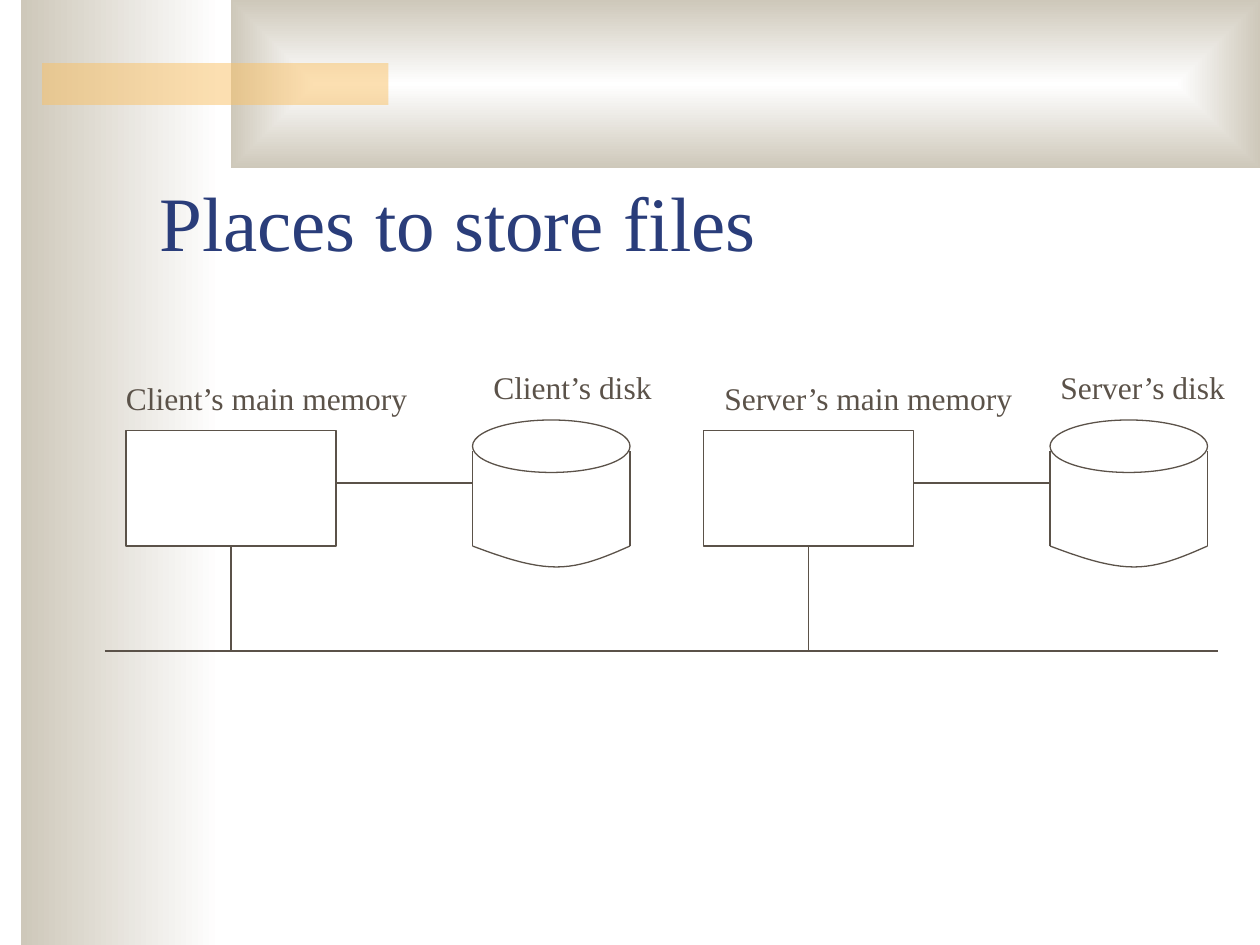
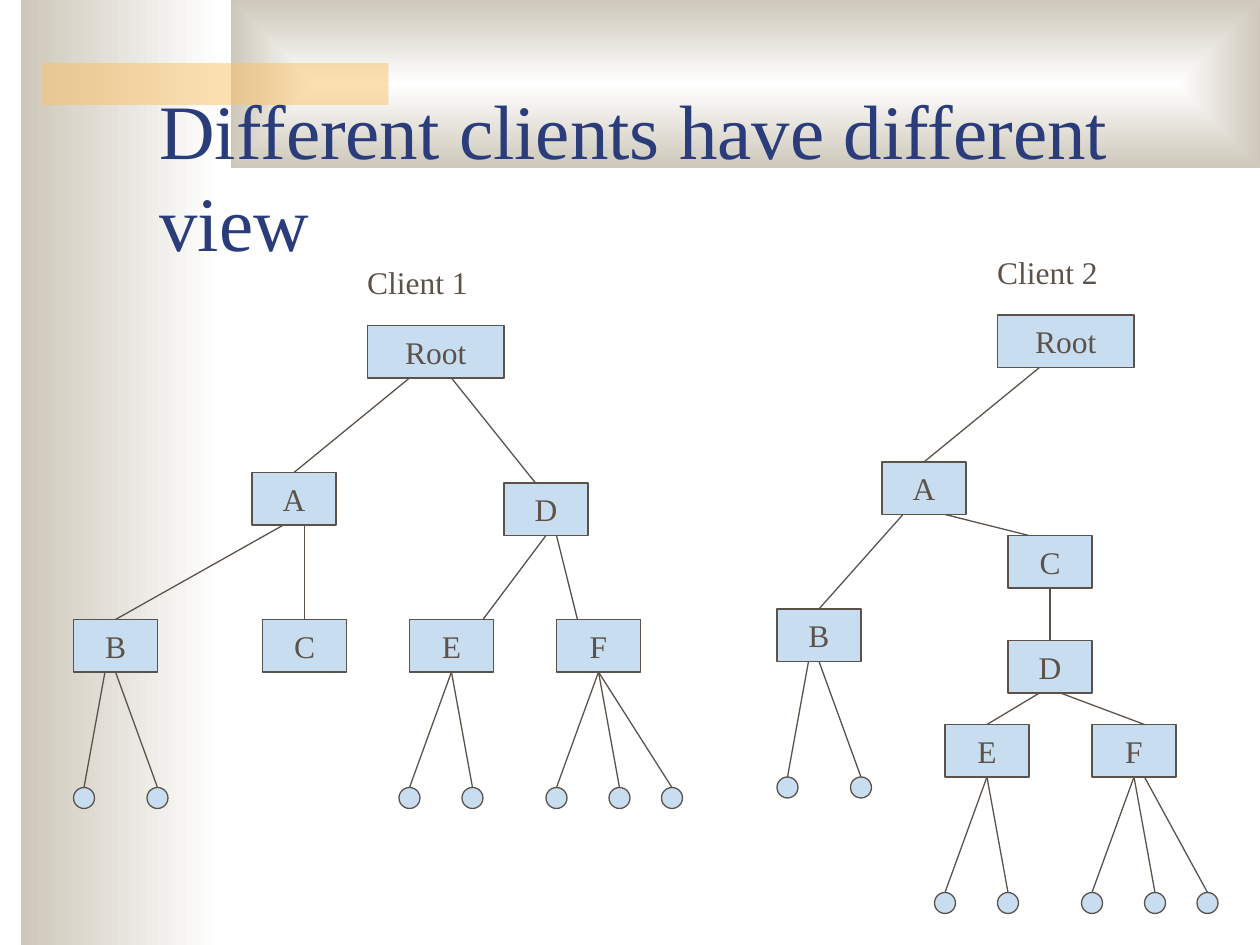
from lxml.etree import SubElement
from pptx import Presentation
from pptx.dml.color import RGBColor
from pptx.enum.shapes import MSO_CONNECTOR, MSO_SHAPE
from pptx.enum.text import MSO_ANCHOR, MSO_AUTO_SIZE, PP_ALIGN
from pptx.oxml.ns import qn
from pptx.util import Pt

COLORS = {
    "white": "FFFFFF",
    "sand": "CEC8BA",
    "amber": "FAC164",
    "title": "2A3D7A",
    "ink": "5B5249",
    "node": "C9DDF1",
}
FONT = "Times New Roman"
TOP, BOTTOM = 0, 2


class Deck:
    def __init__(self):
        self.presentation = Presentation()
        self.presentation.slide_width = Pt(720)
        self.presentation.slide_height = Pt(540)
        self.shapes = None

    def color(self, name):
        return RGBColor.from_string(COLORS[name])

    def outline(self, item):
        item.line.color.rgb = self.color("ink")
        item.line.width = Pt(0.75)

    def new_slide(self, title):
        slide = self.presentation.slides.add_slide(self.presentation.slide_layouts[6])
        self.shapes = slide.shapes
        self.gradient(12, 0, 114, 540)
        self.gradient(132, 0, 588, 96, from_center=True)
        bar = self.shape(24, 36, 198, 24, "amber", outlined=False)
        tint = bar._element.spPr.find(qn("a:solidFill"))[0]
        SubElement(tint, qn("a:alpha")).set("val", "50000")
        heading = self.shapes.add_textbox(Pt(84), Pt(66), Pt(612), Pt(90))
        heading.text_frame.word_wrap = True
        heading.text_frame.vertical_anchor = MSO_ANCHOR.BOTTOM
        self.add_text(heading, title, 44, "title")

    def add_text(self, box, text, size=18, color="ink", align=PP_ALIGN.LEFT):
        paragraph = box.text_frame.paragraphs[0]
        paragraph.alignment = align
        run = paragraph.add_run()
        run.text = text
        run.font.name = FONT
        run.font.size = Pt(size)
        run.font.color.rgb = self.color(color)

    def shape(self, x, y, width, height, fill, kind=MSO_SHAPE.RECTANGLE, outlined=True):
        shape = self.shapes.add_shape(kind, Pt(x), Pt(y), Pt(width), Pt(height))
        shape.shadow.inherit = False
        shape.fill.solid()
        shape.fill.fore_color.rgb = self.color(fill)
        if outlined:
            self.outline(shape)
        else:
            shape.line.fill.background()
        return shape

    def gradient(self, x, y, width, height, from_center=False):
        band = self.shape(x, y, width, height, "white", outlined=False)
        band.fill.gradient()
        band.fill.gradient_angle = 180
        for stop, name, position in zip(band.fill.gradient_stops, ("white", "sand"), (0, 1)):
            stop.color.rgb = self.color(name)
            stop.position = position
        if from_center:
            gradient = band._element.spPr.find(qn("a:gradFill"))
            gradient.remove(gradient.find(qn("a:lin")))
            spread = SubElement(gradient, qn("a:path"))
            spread.set("path", "rect")
            center = SubElement(spread, qn("a:fillToRect"))
            for side in "ltrb":
                center.set(side, "50000")

    def label(self, text, x, y, width):
        box = self.shapes.add_textbox(Pt(x), Pt(y), Pt(width), Pt(29))
        box.text_frame.word_wrap = False
        box.text_frame.auto_size = MSO_AUTO_SIZE.SHAPE_TO_FIT_TEXT
        self.add_text(box, text)

    def node(self, text, x, y):
        node = self.shape(x, y, 78 if text == "Root" else 48, 30, "node")
        node.text_frame.word_wrap = False
        node.text_frame.vertical_anchor = MSO_ANCHOR.MIDDLE
        self.add_text(node, text, align=PP_ALIGN.CENTER)
        return node

    def line(self, x1, y1, x2, y2):
        line = self.shapes.add_connector(
            MSO_CONNECTOR.STRAIGHT, Pt(x1), Pt(y1), Pt(x2), Pt(y2))
        self.outline(line)
        SubElement(line._element.spPr, qn("a:effectLst"))
        return line

    def link(self, parent, start_x, child, end_x):
        line = self.line(start_x, (parent.top + parent.height) / Pt(1), end_x, child.top.pt)
        if Pt(start_x) == parent.left + parent.width // 2:
            line.begin_connect(parent, BOTTOM)
        if Pt(end_x) == child.left + child.width // 2:
            line.end_connect(child, TOP)

    def curve(self, x, y, beziers, steps=12):
        points = []
        for controls in beziers:
            for step in range(1, steps + 1):
                t = step / steps
                weights = ((1 - t) ** 3, 3 * t * (1 - t) ** 2, 3 * t * t * (1 - t), t ** 3)
                points.append(tuple(
                    Pt(start + sum(w * c[axis] for w, c in zip(weights, controls)))
                    for axis, start in enumerate((x, y))))
        builder = self.shapes.build_freeform(Pt(x), Pt(y))
        builder.add_line_segments(points, close=False)
        curve = builder.convert_to_shape()
        curve.shadow.inherit = False
        curve.fill.background()
        self.outline(curve)

    def disk(self, x, y):
        self.shape(x, y, 90, 30, "white", MSO_SHAPE.OVAL)
        for side in (x, x + 90):
            self.line(side, y + 18, side, y + 72)
        self.curve(x, y + 72, [
            ((0, 0), (16.5, 6.2), (33, 12), (48, 12)),
            ((48, 12), (62.5, 12), (76, 6.2), (90, 0)),
        ])

    def machine(self, x, network_y):
        memory = self.shape(x, 246, 120, 66, "white")
        self.disk(x + 198, 240)
        self.line(x + 120, 276, x + 198, 276)
        self.line(x + 60, 312, x + 60, network_y).begin_connect(memory, BOTTOM)

    def tree(self, places, links, leaf_links, leaf_y):
        nodes = {name: self.node(name, x, y) for name, (x, y) in places.items()}
        for parent, start_x, child, end_x in links:
            self.link(nodes[parent], start_x, nodes[child], end_x)
        for parent, start_x, leaf_x in leaf_links:
            leaf = self.shape(leaf_x - 6, leaf_y[parent], 12, 12, "node",
                              MSO_SHAPE.FLOWCHART_CONNECTOR)
            self.link(nodes[parent], start_x, leaf, leaf_x)


def storage_places(deck):
    deck.new_slide("Places to store files")
    network_y = 372
    for machine_x in (72, 402):
        deck.machine(machine_x, network_y)
    deck.line(60, network_y, 696, network_y)
    deck.label("Client’s main memory", 64.8, 213, 176)
    deck.label("Client’s disk", 274.8, 207, 106)
    deck.label("Server’s main memory", 406.8, 213, 179)
    deck.label("Server’s disk", 598.8, 207, 109)


def client_views(deck):
    deck.new_slide("Different clients have different view")
    deck.tree(
        {"Root": (210, 186), "A": (144, 270), "D": (288, 276), "B": (42, 354),
         "C": (150, 354), "E": (234, 354), "F": (318, 354)},
        [("Root", 234, "A", 168), ("Root", 258, "D", 306),
         ("A", 162, "B", 66), ("A", 174, "C", 174),
         ("D", 312, "E", 276), ("D", 318, "F", 330)],
        [("B", 60, 48), ("B", 66, 90), ("E", 258, 234), ("E", 258, 270),
         ("F", 342, 318), ("F", 342, 354), ("F", 342, 384)],
        {"B": 450, "E": 450, "F": 450},
    )
    deck.tree(
        {"Root": (570, 180), "A": (504, 264), "B": (444, 348), "C": (576, 306),
         "D": (576, 366), "E": (540, 414), "F": (624, 414)},
        [("Root", 594, "A", 528), ("A", 516, "B", 468), ("A", 540, "C", 588),
         ("C", 600, "D", 600), ("D", 594, "E", 564), ("D", 606, "F", 654)],
        [("B", 462, 450), ("B", 468, 492), ("E", 564, 540), ("E", 564, 576),
         ("F", 648, 624), ("F", 648, 660), ("F", 654, 690)],
        {"B": 444, "E": 510, "F": 510},
    )
    deck.label("Client 1", 202.8, 147, 72)
    deck.label("Client 2", 562.8, 141, 72)


def main():
    deck = Deck()
    storage_places(deck)
    client_views(deck)
    deck.presentation.save("out.pptx")


if __name__ == "__main__":
    main()
